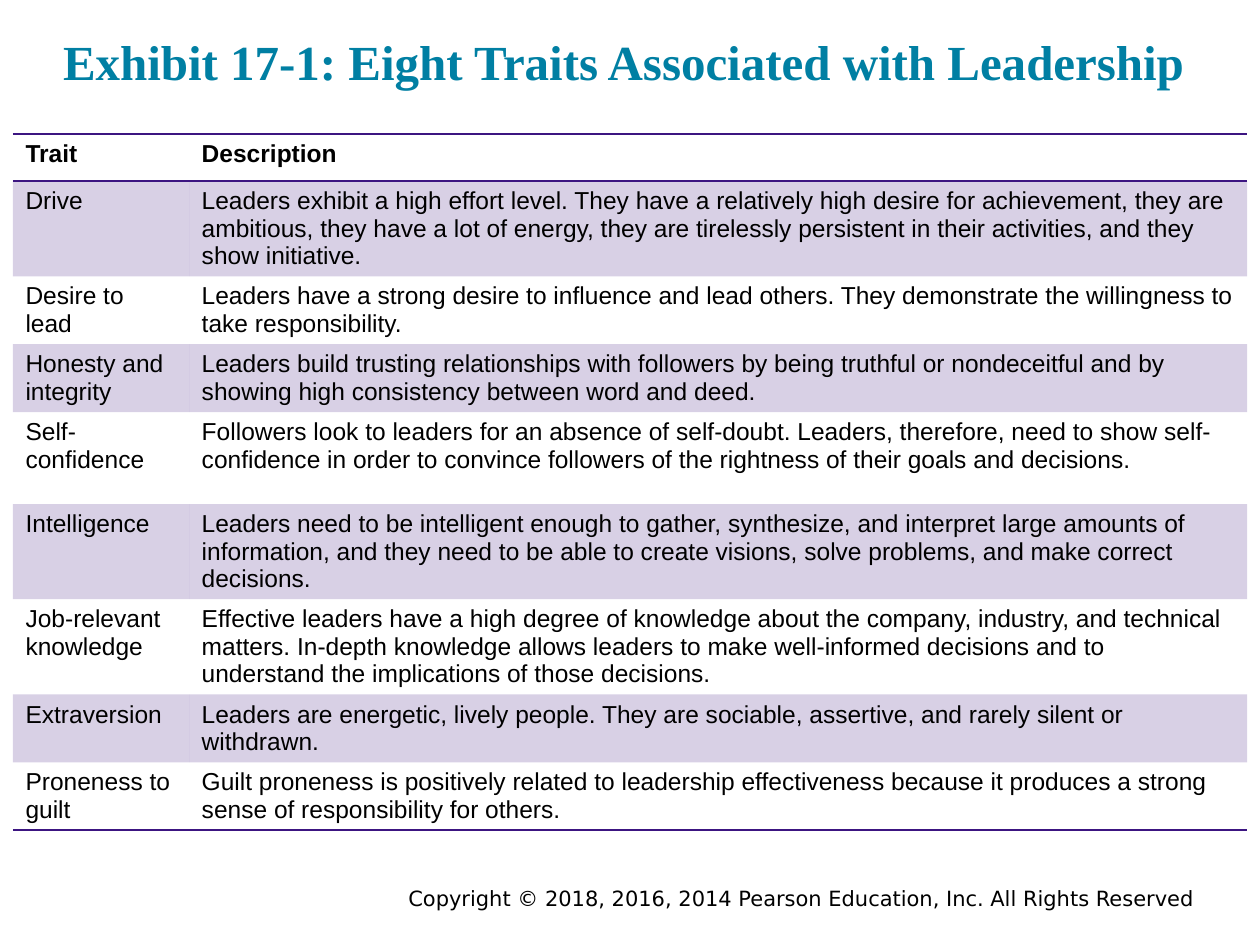
"""Build the slide listing eight traits associated with leadership."""
from lxml.etree import SubElement
from pptx import Presentation
from pptx.dml.color import RGBColor
from pptx.enum.text import MSO_ANCHOR, PP_ALIGN
from pptx.oxml import parse_xml
from pptx.oxml.ns import nsdecls, qn
from pptx.util import Pt

TEAL = RGBColor(0x00, 0x7F, 0xA3)
PURPLE = RGBColor(0x3C, 0x15, 0x81)
BLACK = RGBColor(0, 0, 0)
NO_STYLE_NO_GRID = "{2D5ABB26-0587-4C30-8999-92F81FD0307C}"

TITLE = "Exhibit 17-1: Eight Traits Associated with Leadership"
COPYRIGHT = "Copyright © 2018, 2016, 2014 Pearson Education, Inc. All Rights Reserved"
COLUMN_WIDTHS = (100.7, 604.6)
HEADER_HEIGHT, SHORT, MEDIUM, TALL = 27, 38.8, 52.6, 54.4
TRAITS = [
    ("Trait", "Description", HEADER_HEIGHT),
    ("Drive", "Leaders exhibit a high effort level. They have a relatively high desire for "
     "achievement, they are ambitious, they have a lot of energy, they are tirelessly "
     "persistent in their activities, and they show initiative.", TALL),
    ("Desire to lead", "Leaders have a strong desire to influence and lead others. They "
     "demonstrate the willingness to take responsibility.", SHORT),
    ("Honesty and integrity", "Leaders build trusting relationships with followers by being "
     "truthful or nondeceitful and by showing high consistency between word and deed.", SHORT),
    ("Self-confidence", "Followers look to leaders for an absence of self-doubt. Leaders, "
     "therefore, need to show self-confidence in order to convince followers of the rightness "
     "of their goals and decisions.", MEDIUM),
    ("Intelligence", "Leaders need to be intelligent enough to gather, synthesize, and interpret "
     "large amounts of information, and they need to be able to create visions, solve problems, "
     "and make correct decisions.", TALL),
    ("Job-relevant knowledge", "Effective leaders have a high degree of knowledge about the "
     "company, industry, and technical matters. In-depth knowledge allows leaders to make "
     "well-informed decisions and to understand the implications of those decisions.", TALL),
    ("Extraversion", "Leaders are energetic, lively people. They are sociable, assertive, and "
     "rarely silent or withdrawn.", SHORT),
    ("Proneness to guilt", "Guilt proneness is positively related to leadership effectiveness "
     "because it produces a strong sense of responsibility for others.", SHORT),
]


def style_text(p, font, size, color, bold=False, align=PP_ALIGN.LEFT):
    p.alignment = align
    for r in p.runs:
        r.font.name, r.font.size, r.font.bold = font, Pt(size), bold
        r.font.color.rgb = color


def add_border(cell, side):
    cell._tc.get_or_add_tcPr().append(parse_xml(
        f'<a:{side} {nsdecls("a")} w="{Pt(1)}"><a:solidFill><a:srgbClr val="{PURPLE}"/>'
        f'</a:solidFill></a:{side}>'))


def shade(cell):
    cell.fill.solid()
    cell.fill.fore_color.rgb = PURPLE
    color = cell._tc.tcPr.find(qn("a:solidFill")).find(qn("a:srgbClr"))
    SubElement(color, qn("a:alpha")).set("val", "20000")


def add_title(s):
    title = s.shapes.title
    title.left, title.top, title.width, title.height = Pt(36), Pt(18), Pt(648), Pt(84.2)
    tf = title.text_frame
    tf.text = TITLE
    tf.vertical_anchor = MSO_ANCHOR.TOP
    tf.margin_left = tf.margin_top = tf.margin_right = tf.margin_bottom = 0
    style_text(tf.paragraphs[0], "Times New Roman", 28, TEAL, bold=True)


def add_traits(s):
    heights = [height for *_, height in TRAITS]
    table = s.shapes.add_table(len(TRAITS), len(COLUMN_WIDTHS), Pt(7.4), Pt(76.5),
                               Pt(sum(COLUMN_WIDTHS)), Pt(sum(heights))).table
    table.horz_banding = False
    table._tbl.tblPr.find(qn("a:tableStyleId")).text = NO_STYLE_NO_GRID
    for column, width in zip(table.columns, COLUMN_WIDTHS):
        column.width = Pt(width)
    last = len(TRAITS) - 1
    for i, (*texts, height) in enumerate(TRAITS):
        table.rows[i].height = Pt(height)
        for cell, text in zip(table.rows[i].cells, texts):
            cell.text = text
            cell.margin_bottom = 0
            style_text(cell.text_frame.paragraphs[0], "Arial", 14, BLACK, bold=i == 0)
            if i == 0:
                add_border(cell, "lnT")
            if i in (0, last):
                add_border(cell, "lnB")
            if i % 2:
                shade(cell)
            else:
                cell.fill.background()


def add_copyright(s):
    tf = s.shapes.add_textbox(Pt(126), Pt(502.6), Pt(563.8), Pt(21.6)).text_frame
    tf.word_wrap = True
    tf.text = COPYRIGHT
    style_text(tf.paragraphs[0], "DejaVu Sans", 12, BLACK, align=PP_ALIGN.RIGHT)


def main():
    prs = Presentation()
    prs.slide_width, prs.slide_height = Pt(720), Pt(540)
    s = prs.slides.add_slide(prs.slide_layouts[5])
    add_copyright(s)
    add_title(s)
    add_traits(s)
    prs.save("out.pptx")


if __name__ == "__main__":
    main()
